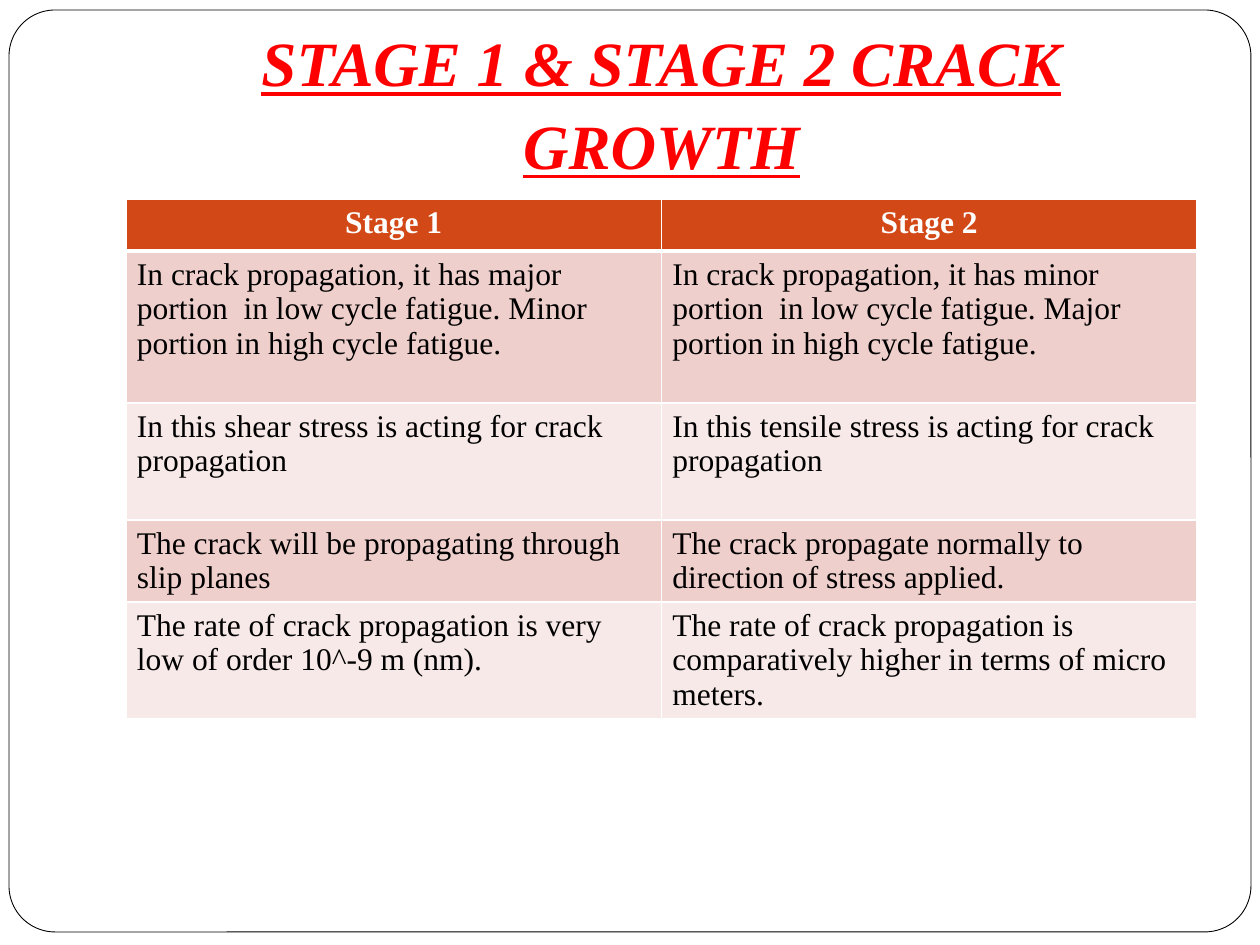
import pptx
import pptx.util
import pptx.dml.color
import pptx.enum.shapes
import pptx.enum.text
import pptx.oxml.ns
import lxml.etree

PX = 914400 // 126
FONT = "Times New Roman"
ALIGN = pptx.enum.text.PP_ALIGN


def color(value):
    return pptx.dml.color.RGBColor.from_string(value)


def add_run(paragraph, text, size, value, bold=False):
    run = paragraph.add_run()
    run.text = text
    run.font.name = FONT
    run.font.size = pptx.util.Pt(size)
    run.font.bold = bold
    run.font.color.rgb = color(value)
    return run


presentation = pptx.Presentation()
presentation.slide_width = 1260 * PX
presentation.slide_height = 945 * PX
slide = presentation.slides.add_slide(presentation.slide_layouts[5])

frame = slide.shapes.add_shape(
    pptx.enum.shapes.MSO_SHAPE.ROUNDED_RECTANGLE, 9 * PX, 10 * PX, 1242 * PX, 922 * PX)
frame.adjustments[0] = 0.05
frame.shadow.inherit = False
frame.fill.solid()
frame.fill.fore_color.rgb = color("FFFFFF")
frame.line.color.rgb = color("000000")
frame.line.width = pptx.util.Pt(0.5)

title = slide.shapes.title
frame.element.addnext(title.element)
title.left, title.top, title.width, title.height = 126 * PX, 38 * PX, 1071 * PX, 157 * PX
title_frame = title.text_frame
title_frame.word_wrap = True
title_frame.auto_size = pptx.enum.text.MSO_AUTO_SIZE.NONE
title_frame.vertical_anchor = pptx.enum.text.MSO_ANCHOR.BOTTOM
title_frame.margin_left = title_frame.margin_right = title_frame.margin_bottom = 13 * PX
title_frame.margin_top = 6 * PX
title_paragraph = title_frame.paragraphs[0]
title_paragraph.alignment = ALIGN.CENTER
title_paragraph.line_spacing = 1.09
title_run = add_run(title_paragraph, "STAGE 1 & STAGE 2 CRACK GROWTH", 36, "FF0000", True)
title_run.font.italic = True
title_run.font.underline = True

rows = [
    (52, "D34817", "Stage 1", "Stage 2"),
    (152, "EFCFCC",
     "In crack propagation, it has major portion  in low cycle fatigue. Minor portion in high cycle fatigue.",
     "In crack propagation, it has minor portion  in low cycle fatigue. Major portion in high cycle fatigue."),
    (117, "F7E9E8",
     "In this shear stress is acting for crack propagation",
     "In this tensile stress is acting for crack propagation"),
    (82, "EFCFCC",
     "The crack will be propagating through slip planes",
     "The crack propagate normally to direction of stress applied."),
    (117, "F7E9E8",
     "The rate of crack propagation is very low of order 10^-9 m (nm).",
     "The rate of crack propagation is comparatively higher in terms of micro meters."),
]
table_height = sum(row[0] for row in rows)
table = slide.shapes.add_table(
    len(rows), 2, 126 * PX, 199 * PX, 1071 * PX, table_height * PX).table

for row_index, (height, fill, *texts) in enumerate(rows):
    table.rows[row_index].height = height * PX
    header = row_index == 0
    for column_index, text in enumerate(texts):
        cell = table.cell(row_index, column_index)
        properties = cell._tc.get_or_add_tcPr()
        for side in "LRTB":
            heavy = (row_index, side) in ((0, "B"), (1, "T"))
            border = lxml.etree.SubElement(
                properties, pptx.oxml.ns.qn(f"a:ln{side}"), w=str(pptx.util.Pt(3 if heavy else 1)))
            solid = lxml.etree.SubElement(border, pptx.oxml.ns.qn("a:solidFill"))
            lxml.etree.SubElement(solid, pptx.oxml.ns.qn("a:srgbClr"), val="FFFFFF")
        cell.fill.solid()
        cell.fill.fore_color.rgb = color(fill)
        cell.margin_left = cell.margin_right = 11 * PX
        cell.margin_top = cell.margin_bottom = 6 * PX
        paragraph = cell.text_frame.paragraphs[0]
        paragraph.alignment = ALIGN.CENTER if header else ALIGN.LEFT
        add_run(paragraph, text, 18, "FFFFFF" if header else "000000", header)

presentation.save("out.pptx")
